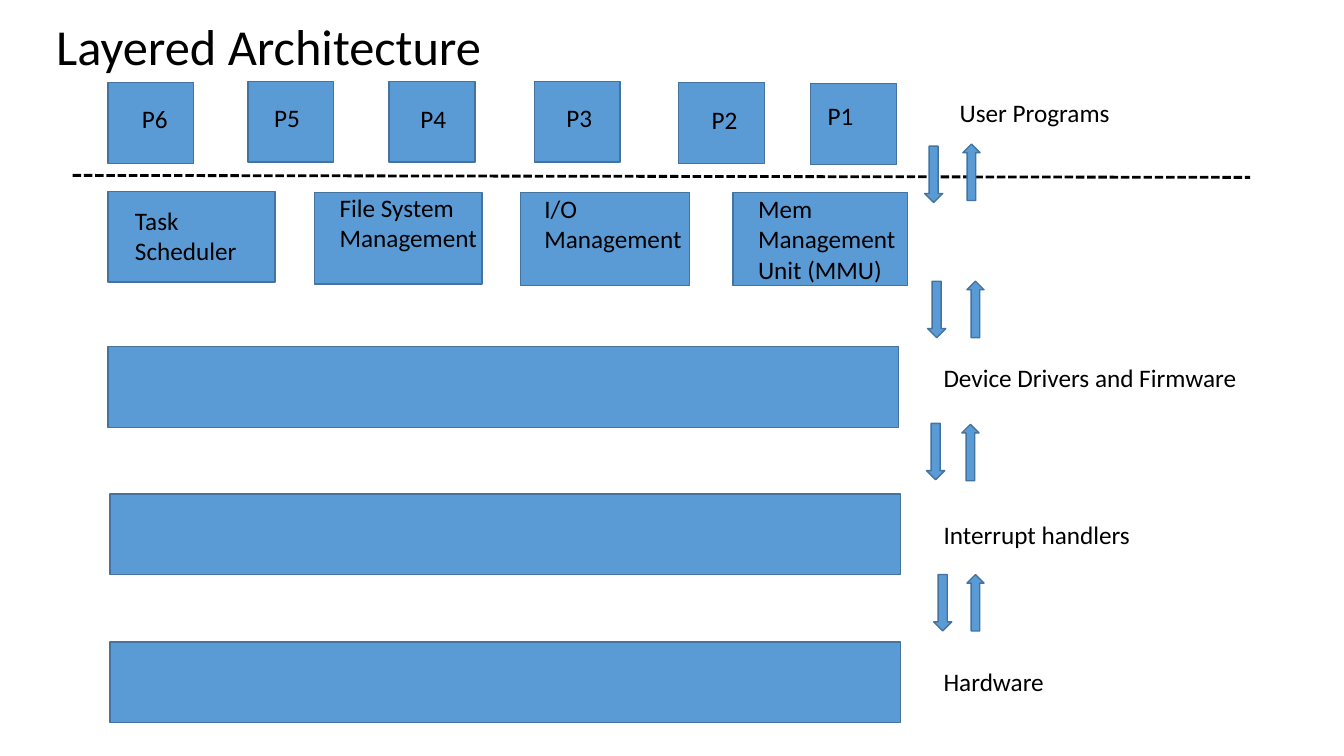
"""Draw the layers of an operating system, from user programs to hardware."""
from dataclasses import dataclass

from lxml.etree import SubElement
from pptx import Presentation
from pptx.dml.color import RGBColor
from pptx.enum.dml import MSO_LINE
from pptx.enum.shapes import MSO_CONNECTOR, MSO_SHAPE
from pptx.enum.text import MSO_ANCHOR, MSO_AUTO_SIZE
from pptx.oxml.ns import qn
from pptx.util import Inches, Pt


@dataclass(frozen=True)
class Theme:
    """Colours, type sizes and the grid cell in inches."""
    fill: RGBColor = RGBColor(0x5B, 0x9B, 0xD5)
    edge: RGBColor = RGBColor(0x43, 0x73, 0x9E)
    ink: RGBColor = RGBColor(0, 0, 0)
    font: str = "Calibri"
    title: int = 36
    body: int = 18
    cell: float = 0.5


class Board:
    """A slide with one style, measured in grid columns and rows."""

    def __init__(self, slide, theme):
        self.slide = slide
        self.theme = theme

    def grid(self, *cells):
        return [Inches(cell * self.theme.cell) for cell in cells]

    def shape(self, kind, col, row, wide, high):
        item = self.slide.shapes.add_shape(kind, *self.grid(col, row, wide, high))
        item.shadow.inherit = False
        item.fill.solid()
        item.fill.fore_color.rgb = self.theme.fill
        item.line.color.rgb = self.theme.edge
        item.line.width = Pt(1)

    def text(self, words, col, row, wide, high, size=None):
        box = self.slide.shapes.add_textbox(*self.grid(col, row, wide, high))
        frame = box.text_frame
        frame.text = words
        for line in frame.paragraphs:
            for run in line.runs:
                run.font.name = self.theme.font
                run.font.size = Pt(size or self.theme.body)
                run.font.color.rgb = self.theme.ink
        return frame

    def title(self, words, *place):
        frame = self.text(words, *place, size=self.theme.title)
        frame.word_wrap = True
        frame.vertical_anchor = MSO_ANCHOR.MIDDLE
        frame.paragraphs[0].line_spacing = 0.9

    def label(self, words, col, row, wide):
        high = 0.2 + 0.6 * len(words.split("\n"))
        frame = self.text(words, col, row, wide, high)
        frame.word_wrap = False
        frame.auto_size = MSO_AUTO_SIZE.SHAPE_TO_FIT_TEXT

    def dashes(self, *ends):
        line = self.slide.shapes.add_connector(MSO_CONNECTOR.STRAIGHT, *self.grid(*ends))
        line.line.color.rgb = self.theme.ink
        line.line.width = Pt(2)
        line.line.dash_style = MSO_LINE.SQUARE_DOT
        SubElement(line._element.spPr, qn("a:effectLst"))


BARS = [(2.14, 6.88), (2.18, 9.8), (2.18, 12.74)]

UNITS = [
    ("Task\nScheduler", (2.14, 3.8, 3.32, 1.8), (2.48, 3.98, 2.44)),
    ("File System\nManagement", (6.24, 3.82, 3.32, 1.82), (6.54, 3.72, 3.16)),
    ("I/O\nManagement", (10.32, 3.82, 3.36, 1.84), (10.6, 3.74, 3.16)),
    ("Mem\nManagement\nUnit (MMU)", (14.54, 3.82, 3.46, 1.84), (14.84, 3.74, 3.16)),
]

TASKS = [
    ("P6", (2.14, 1.64), (2.62, 1.96)),
    ("P5", (4.92, 1.62), (5.24, 1.94)),
    ("P4", (7.72, 1.62), (8.14, 1.96)),
    ("P3", (10.6, 1.62), (11.04, 1.94)),
    ("P2", (13.46, 1.64), (13.92, 1.98)),
    ("P1", (16.08, 1.66), (16.22, 1.9)),
]

LAYERS = [
    ("User Programs", 18.84, 1.84, 3.4),
    ("Device Drivers and Firmware", 18.52, 7.1, 6.28),
    ("Interrupt handlers", 18.52, 10.2, 4.14),
    ("Hardware", 18.52, 13.12, 2.42),
]

PAIRS = [
    ((18.34, 2.9), (19.1, 2.86)),
    ((18.4, 5.58), (19.18, 5.58)),
    ((18.38, 8.4), (19.08, 8.42)),
    ((18.52, 11.4), (19.18, 11.4)),
]


def main():
    deck = Presentation()
    deck.slide_width = Inches(13.33)
    deck.slide_height = Inches(7.5)
    board = Board(deck.slides.add_slide(deck.slide_layouts[6]), Theme())

    board.title("Layered Architecture", 0.92, 0, 23, 1.96)
    for place in BARS:
        board.shape(MSO_SHAPE.RECTANGLE, *place, 15.68, 1.6)
    for words, place, spot in UNITS:
        board.shape(MSO_SHAPE.RECTANGLE, *place)
        board.label(words, *spot)
    for words, place, spot in TASKS:
        board.shape(MSO_SHAPE.RECTANGLE, *place, 1.7, 1.6)
        board.label(words, *spot, 0.92)
    board.dashes(1.44, 3.48, 24.8, 3.52)
    for layer in LAYERS:
        board.label(*layer)
    for down, up in PAIRS:
        board.shape(MSO_SHAPE.DOWN_ARROW, *down, 0.36, 1.12)
        board.shape(MSO_SHAPE.UP_ARROW, *up, 0.34, 1.12)

    deck.save("out.pptx")


if __name__ == "__main__":
    main()
